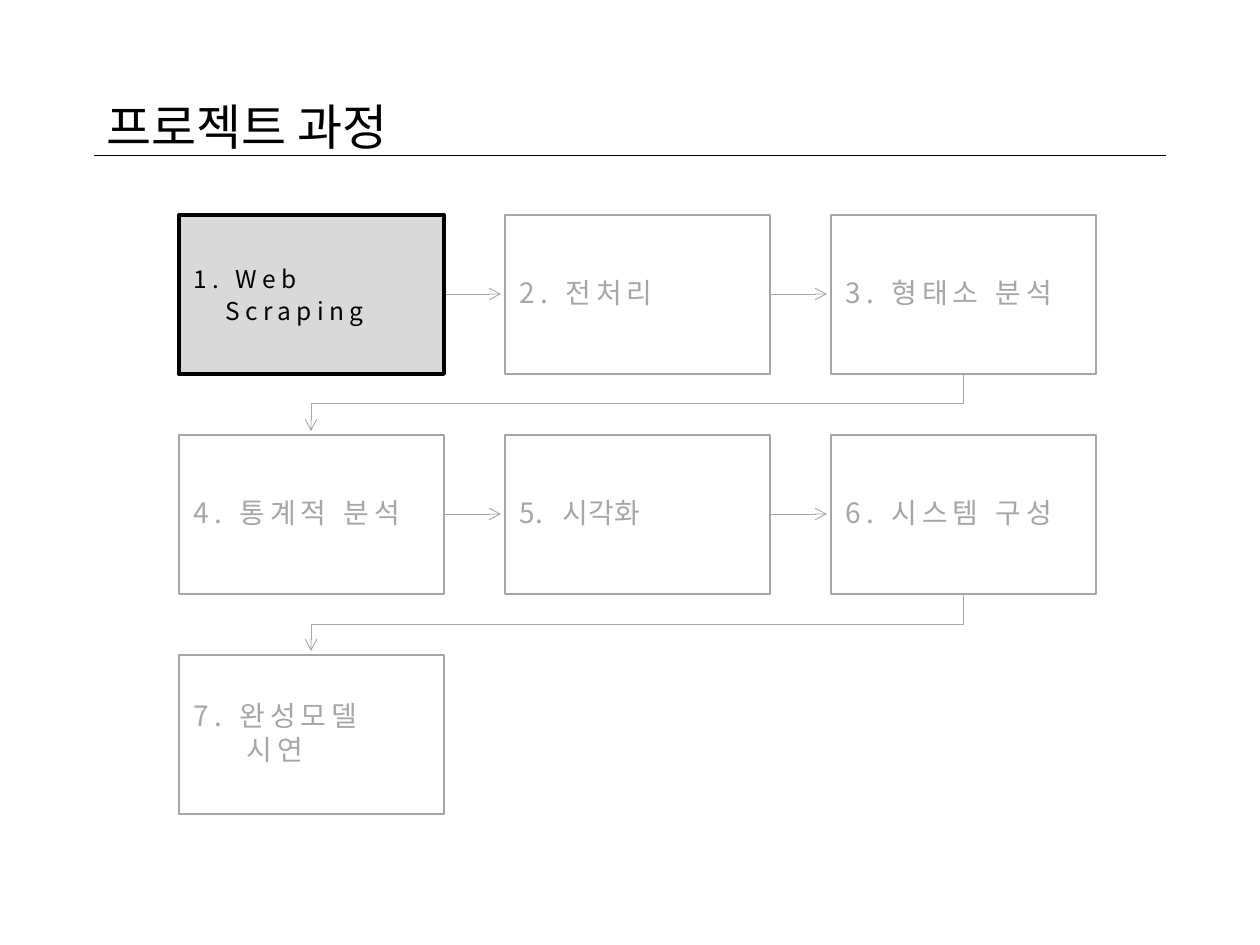
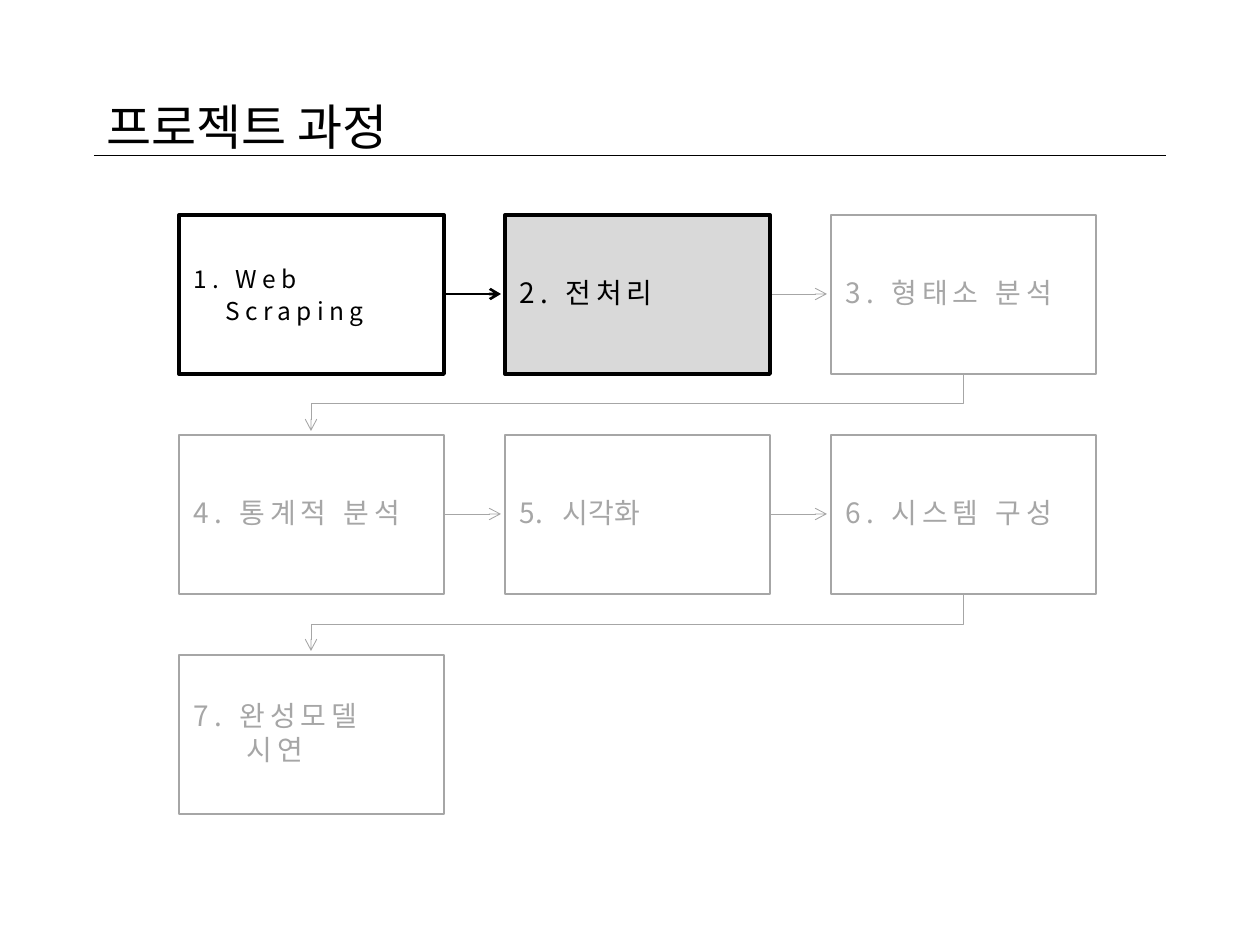
from dataclasses import dataclass

from lxml.etree import SubElement
from pptx import Presentation
from pptx.dml.color import RGBColor as Rgb
from pptx.enum.shapes import MSO_CONNECTOR as Connector, MSO_SHAPE as Preset
from pptx.enum.text import MSO_ANCHOR as Anchor, PP_ALIGN as Align
from pptx.oxml.ns import qn
from pptx.slide import Slide
from pptx.util import Emu, Pt

EMU_PER_PX = 914400 / 126


@dataclass(frozen=True)
class Theme:
    font: str = "Noto Sans CJK KR"
    ink: str = "000000"
    muted: str = "A6A6A6"
    current_fill: str = "D9D9D9"
    paper: str = "FFFFFF"
    title_size: int = 28
    step_size: int = 16
    latin_size: int = 14
    tracking: int = 3
    hairline: float = 0.5
    thin: float = 1
    medium: float = 1.5
    thick: float = 2.25


@dataclass(frozen=True)
class Step:
    lines: tuple[str, ...]
    size: int
    hanging: int = 0
    spacing: float = 0.9
    space_after: float = 2
    tracking: int = 3
    tab: int = 0


@dataclass(frozen=True)
class Grid:
    left: int = 179
    top: int = 215
    width: int = 265
    height: int = 159
    pitch_x: int = 326
    pitch_y: int = 220
    columns: int = 3
    arrow_gap: int = 4
    bend: int = 30
    inset: int = 15

    def corner(self, index: int) -> tuple[int, int]:
        row, column = divmod(index, self.columns)
        return self.left + column * self.pitch_x, self.top + row * self.pitch_y


THEME = Theme()
GRID = Grid()
TITLE = "프로젝트 과정"
STEPS = (
    Step(("1. Web", "Scraping"), THEME.latin_size, hanging=32, spacing=1, space_after=1.5),
    Step(("2. 전처리",), THEME.step_size),
    Step(("3. 형태소 분석",), THEME.step_size),
    Step(("4. 통계적 분석",), THEME.step_size),
    Step(("5.\t시각화",), THEME.step_size, tracking=0, tab=43),
    Step(("6. 시스템 구성",), THEME.step_size),
    Step(("7. 완성모델", "시연"), THEME.step_size, hanging=53),
)


def px(length: int) -> Emu:
    return Emu(round(length * EMU_PER_PX))


def style_run(run, size: int, color: str, tracking: int = 0) -> None:
    run.font.size = Pt(size)
    run.font.color.rgb = Rgb.from_string(color)
    run.font.name = THEME.font
    properties = run.font._element
    SubElement(properties, qn("a:ea")).set("typeface", THEME.font)
    if tracking:
        properties.set("spc", str(tracking * 100))


def style_line(shape, color: str, width: float, arrow: bool = False) -> None:
    shape.line.color.rgb = Rgb.from_string(color)
    shape.line.width = Pt(width)
    if arrow:
        SubElement(shape.line._get_or_add_ln(), qn("a:tailEnd")).set("type", "arrow")


def add_straight(slide: Slide, start: tuple[int, int], end: tuple[int, int],
                 color: str, width: float, arrow: bool = False) -> None:
    line = slide.shapes.add_connector(Connector.STRAIGHT, *map(px, start + end))
    style_line(line, color, width, arrow)
    SubElement(line._element.spPr, qn("a:effectLst"))


def add_heading(slide: Slide) -> None:
    title = slide.shapes.title
    title.left, title.top, title.width, title.height = map(px, (94, 76, 1134, 107))
    title.text_frame.text = TITLE
    title.text_frame.vertical_anchor = Anchor.MIDDLE
    paragraph = title.text_frame.paragraphs[0]
    paragraph.alignment = Align.LEFT
    paragraph.line_spacing = 0.9
    style_run(paragraph.runs[0], THEME.title_size, THEME.ink)
    add_straight(slide, (94, 155), (1166, 155), THEME.ink, THEME.hairline)


def add_arrow(slide: Slide, index: int, reached: bool) -> None:
    color = THEME.ink if reached else THEME.muted
    width = THEME.medium if reached else THEME.hairline
    left, top = GRID.corner(index)
    next_left, next_top = GRID.corner(index + 1)
    if top == next_top:
        middle = top + GRID.height // 2
        add_straight(slide, (left + GRID.width, middle),
                     (next_left - GRID.arrow_gap, middle), color, width, arrow=True)
        return
    start_x, end_x = left + GRID.width // 2, next_left + GRID.width // 2
    bottom = top + GRID.height
    turn = bottom + GRID.bend
    builder = slide.shapes.build_freeform(start_x, bottom, scale=EMU_PER_PX)
    builder.add_line_segments(
        [(start_x, turn), (end_x, turn), (end_x, next_top - GRID.arrow_gap)], close=False)
    bent = builder.convert_to_shape()
    bent.shadow.inherit = False
    bent.fill.background()
    style_line(bent, color, width, arrow=True)


def add_step(slide: Slide, index: int, current: int) -> None:
    step = STEPS[index]
    reached = index <= current
    color = THEME.ink if reached else THEME.muted
    box = slide.shapes.add_shape(
        Preset.RECTANGLE, *map(px, (*GRID.corner(index), GRID.width, GRID.height)))
    box.shadow.inherit = False
    if reached:
        box.fill.solid()
        fill = THEME.current_fill if index == current else THEME.paper
        box.fill.fore_color.rgb = Rgb.from_string(fill)
    else:
        box.fill.background()
    style_line(box, color, THEME.thick if reached else THEME.thin)

    frame = box.text_frame
    frame.word_wrap = True
    frame.vertical_anchor = Anchor.MIDDLE
    frame.margin_left = frame.margin_right = px(GRID.inset)
    frame.margin_top = frame.margin_bottom = px(GRID.inset)
    frame.text = "\n".join(step.lines)
    for number, paragraph in enumerate(frame.paragraphs):
        paragraph.alignment = Align.LEFT
        paragraph.line_spacing = step.spacing
        paragraph.space_after = Pt(step.space_after)
        properties = paragraph._p.get_or_add_pPr()
        if number:
            properties.set("marL", str(px(step.hanging)))
        if step.tab:
            tab = SubElement(SubElement(properties, qn("a:tabLst")), qn("a:tab"))
            tab.set("pos", str(px(step.tab)))
            tab.set("algn", "l")
        style_run(paragraph.runs[0], step.size, color, step.tracking)


def add_process_slide(deck, current: int) -> None:
    slide = deck.slides.add_slide(deck.slide_layouts.get_by_name("Title Only"))
    add_heading(slide)
    for index in range(len(STEPS)):
        if index + 1 < len(STEPS):
            add_arrow(slide, index, reached=index < current)
        add_step(slide, index, current)


def main() -> None:
    deck = Presentation()
    deck.slide_width, deck.slide_height = px(1260), px(945)
    for current in range(2):
        add_process_slide(deck, current)
    deck.save("out.pptx")


if __name__ == "__main__":
    main()
